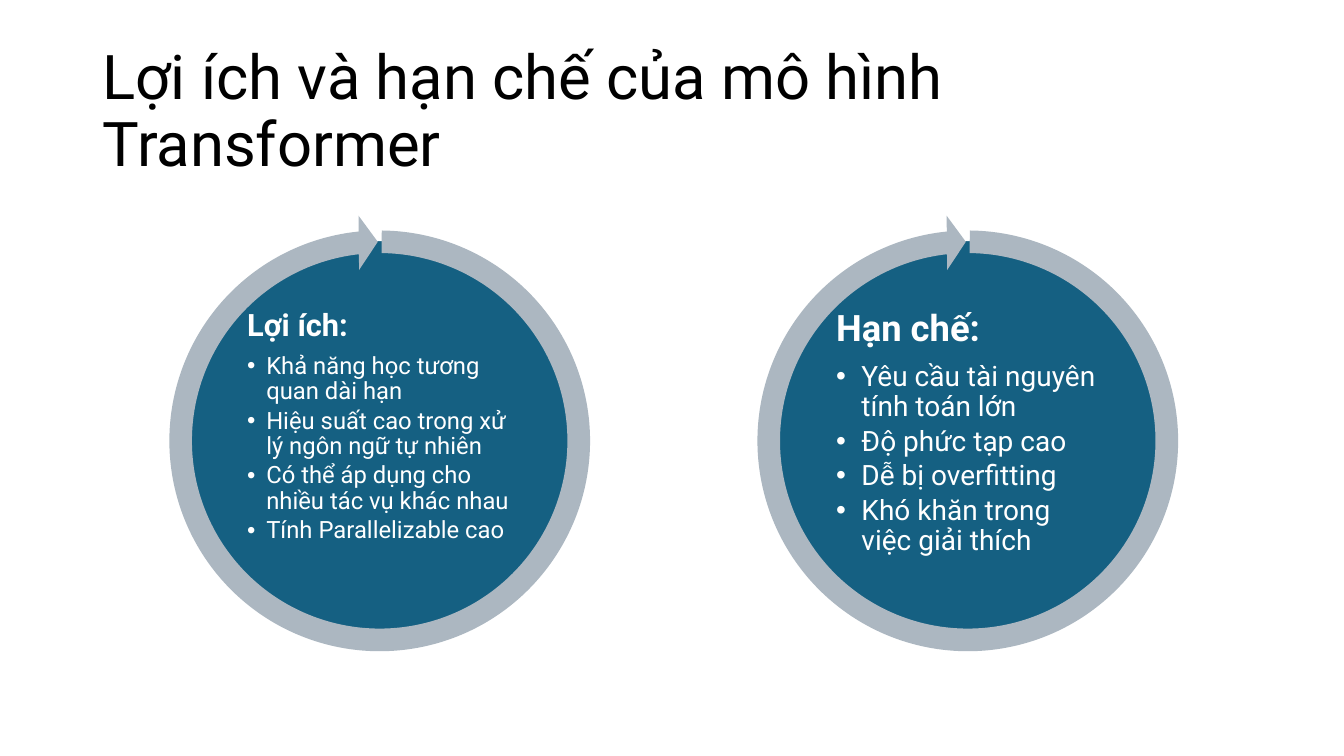
from lxml import etree
from pptx import Presentation
from pptx.dml.color import RGBColor
from pptx.enum.shapes import MSO_SHAPE as Shape
from pptx.enum.text import MSO_ANCHOR as Anchor, MSO_AUTO_SIZE as AutoSize, PP_ALIGN as Align
from pptx.oxml.ns import qn
from pptx.util import Cm, Pt

COLORS = {"title": "000000", "disc": "156082", "ring": "ACB7C1", "white": "FFFFFF"}
ARROW_ADJUSTMENTS = (0.05, 3.28, 158.39, 162.34, 0.06)

# Each list: heading, sizes in points, indent and inset in cm, items
CYCLES = [
    {"heading": "Lợi ích:", "heading_size": 22, "item_size": 17, "indent": 0.48, "inset": 0.08,
     "items": ["Khả năng học tương quan dài hạn",
               "Hiệu suất cao trong xử lý ngôn ngữ tự nhiên",
               "Có thể áp dụng cho nhiều tác vụ khác nhau",
               "Tính Parallelizable cao"]},
    {"heading": "Hạn chế:", "heading_size": 26, "item_size": 20, "indent": 0.64, "inset": 0.1,
     "items": ["Yêu cầu tài nguyên tính toán lớn",
               "Độ phức tạp cao",
               "Dễ bị overfitting",
               "Khó khăn trong việc giải thích"]},
]
FIRST_LEFT, CYCLE_STEP, DISC_TOP = 4.45, 14.82, 6.05


def apply_format(target, values):
    for name, value in values.items():
        setattr(target, name, value)


class SlideBuilder:
    font_name = "Roboto"

    def __init__(self, slide):
        self.slide = slide

    def color(self, name):
        return RGBColor.from_string(COLORS[name])

    def place(self, shape, left, top, width, height):
        apply_format(shape, {"left": Cm(left), "top": Cm(top),
                             "width": Cm(width), "height": Cm(height)})

    def fill_paragraph(self, paragraph, text, size, color, bold=False, after=0):
        apply_format(paragraph, {"alignment": Align.LEFT, "line_spacing": 0.9,
                                 "space_before": Pt(0), "space_after": Pt(after)})
        run = paragraph.add_run()
        run.text = text
        apply_format(run.font, {"name": self.font_name, "size": Pt(size), "bold": bold})
        run.font.color.rgb = self.color(color)

    def bullet(self, paragraph, indent, character=None):
        properties = paragraph._p.get_or_add_pPr()
        properties.set("marL", str(Cm(indent)))
        properties.set("indent", str(-Cm(indent)))
        if character:
            etree.SubElement(properties, qn("a:buChar")).set("char", character)
        else:
            etree.SubElement(properties, qn("a:buNone"))

    def title(self, text, box):
        title = self.slide.shapes.title
        self.place(title, *box)
        apply_format(title.text_frame, {"vertical_anchor": Anchor.MIDDLE,
                                        "auto_size": AutoSize.NONE, "word_wrap": True})
        self.fill_paragraph(title.text_frame.paragraphs[0], text, 44, "title")

    def shape(self, kind, box, fill, line=None):
        shape = self.slide.shapes.add_shape(kind, *map(Cm, box))
        shape.shadow.inherit = False
        shape.fill.solid()
        shape.fill.fore_color.rgb = self.color(fill)
        if line:
            shape.line.color.rgb = self.color(line)
            shape.line.width = Pt(1.5)
        else:
            shape.line.fill.background()
        return shape

    def bullet_list(self, placeholder, box, cycle):
        # Bring the list in front of its disc
        placeholder.element.getparent().append(placeholder.element)
        self.place(placeholder, *box)
        frame = placeholder.text_frame
        apply_format(frame, {"vertical_anchor": Anchor.TOP, "auto_size": AutoSize.NONE,
                             "word_wrap": True})
        apply_format(frame, {f"margin_{side}": Cm(cycle["inset"])
                             for side in ("left", "top", "right", "bottom")})
        heading, size = frame.paragraphs[0], cycle["heading_size"]
        self.fill_paragraph(heading, cycle["heading"], size, "white", bold=True,
                            after=round(size * 0.35, 1))
        self.bullet(heading, 0)
        size = cycle["item_size"]
        for item in cycle["items"]:
            paragraph = frame.add_paragraph()
            paragraph.level = 1
            self.fill_paragraph(paragraph, item, size, "white", after=round(size * 0.15, 1))
            self.bullet(paragraph, cycle["indent"], "•")

    def cycle(self, placeholder, left, top, cycle):
        self.shape(Shape.OVAL, (left, top, 10.16, 10.16), "disc", "white")
        self.bullet_list(placeholder, (left + 1.7, top + 1.67, 6.76, 6.76), cycle)
        arrow = self.shape(Shape.CIRCULAR_ARROW, (left - 0.58, top - 0.64, 11.4, 11.4), "ring")
        for index, value in enumerate(ARROW_ADJUSTMENTS):
            arrow.adjustments[index] = value


def main():
    presentation = Presentation()
    apply_format(presentation, {"slide_width": Cm(33.87), "slide_height": Cm(19.05)})
    # Two Content layout: a title and two lists
    slide = presentation.slides.add_slide(presentation.slide_layouts[3])
    builder = SlideBuilder(slide)
    builder.title("Lợi ích và hạn chế của mô hình Transformer", (2.33, 1.01, 29.21, 3.68))

    # Benefits and limits, side by side
    bodies = [slide.placeholders[1], slide.placeholders[2]]
    for index, (body, cycle) in enumerate(zip(bodies, CYCLES)):
        builder.cycle(body, FIRST_LEFT + index * CYCLE_STEP, DISC_TOP, cycle)
    presentation.save("out.pptx")


if __name__ == "__main__":
    main()
